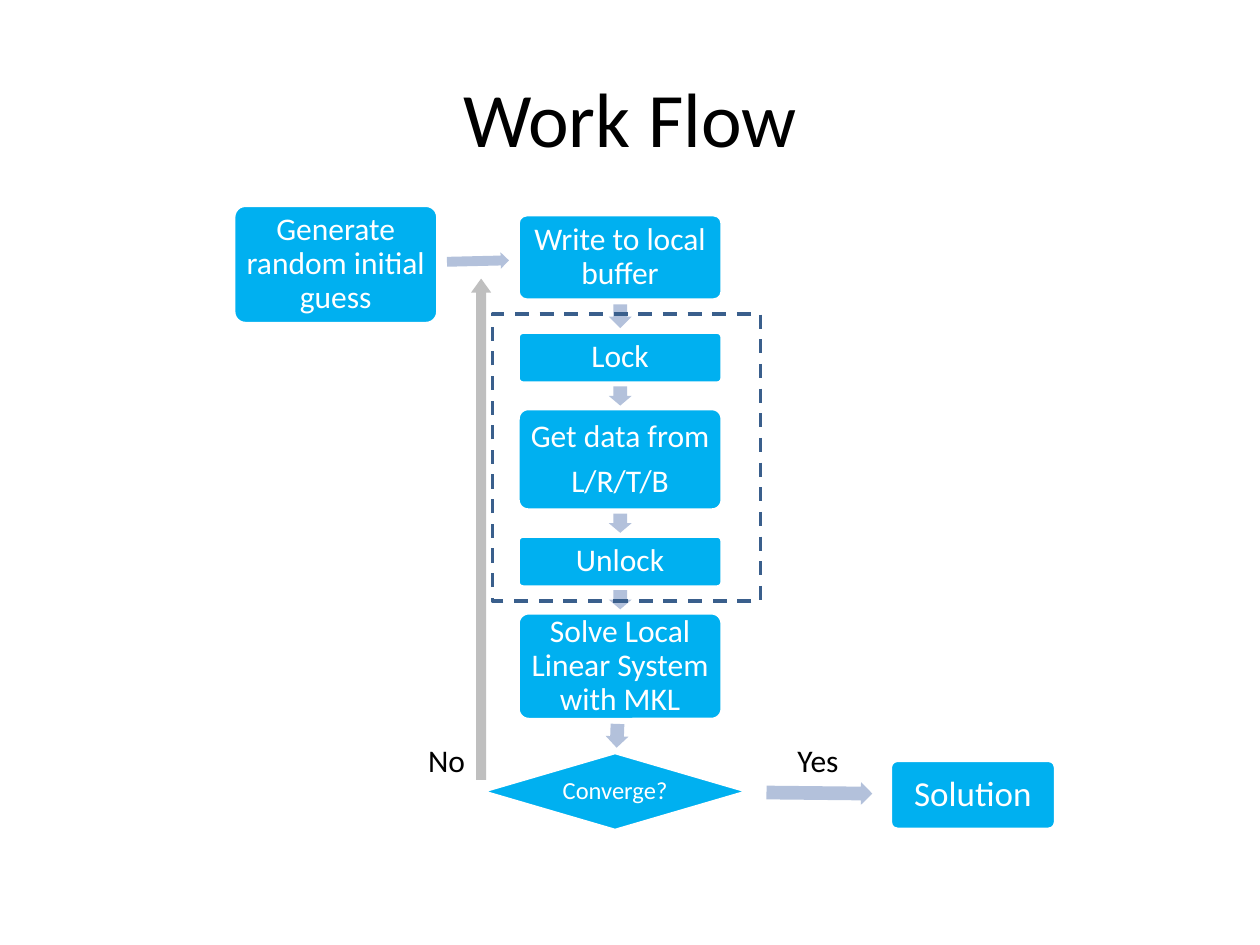
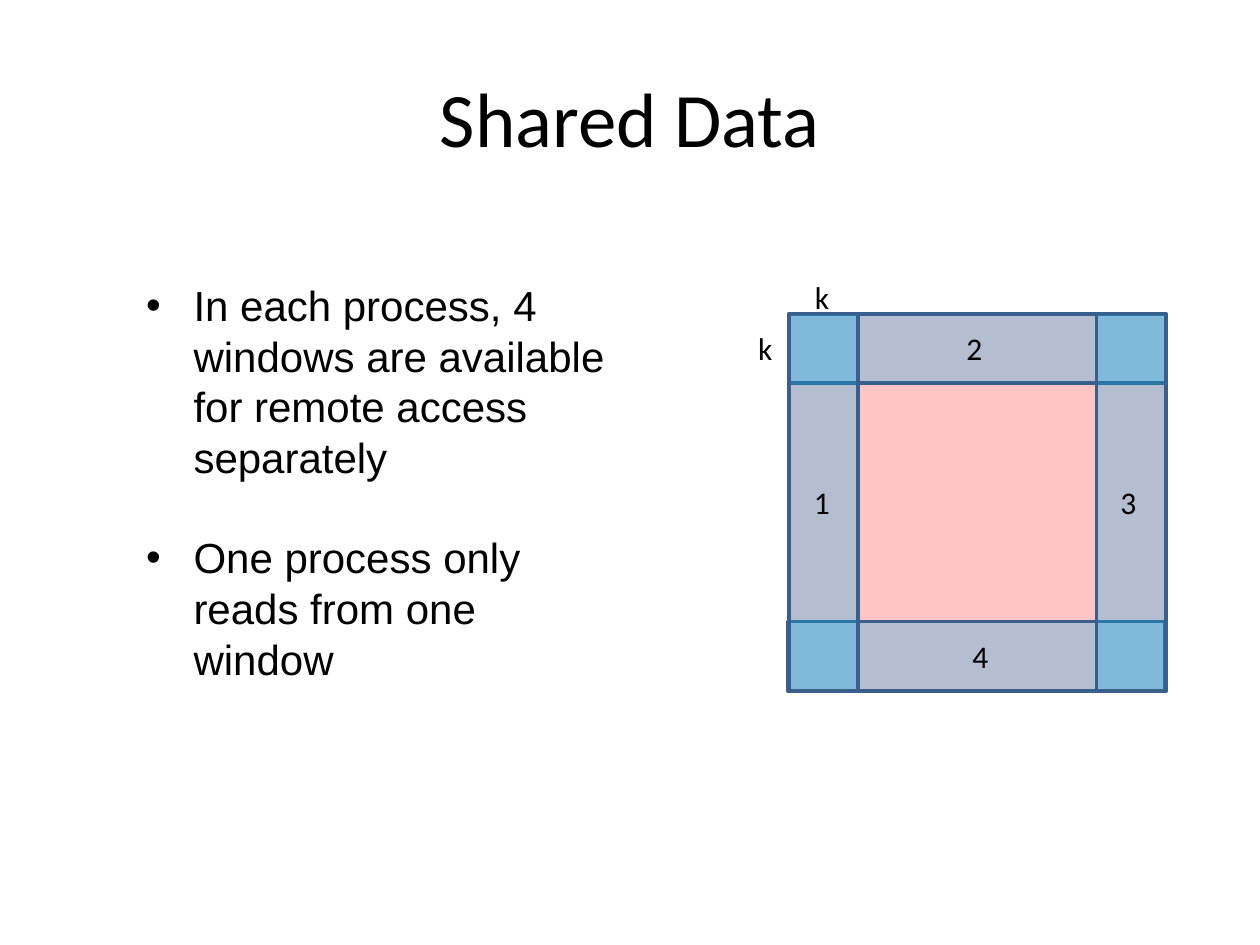
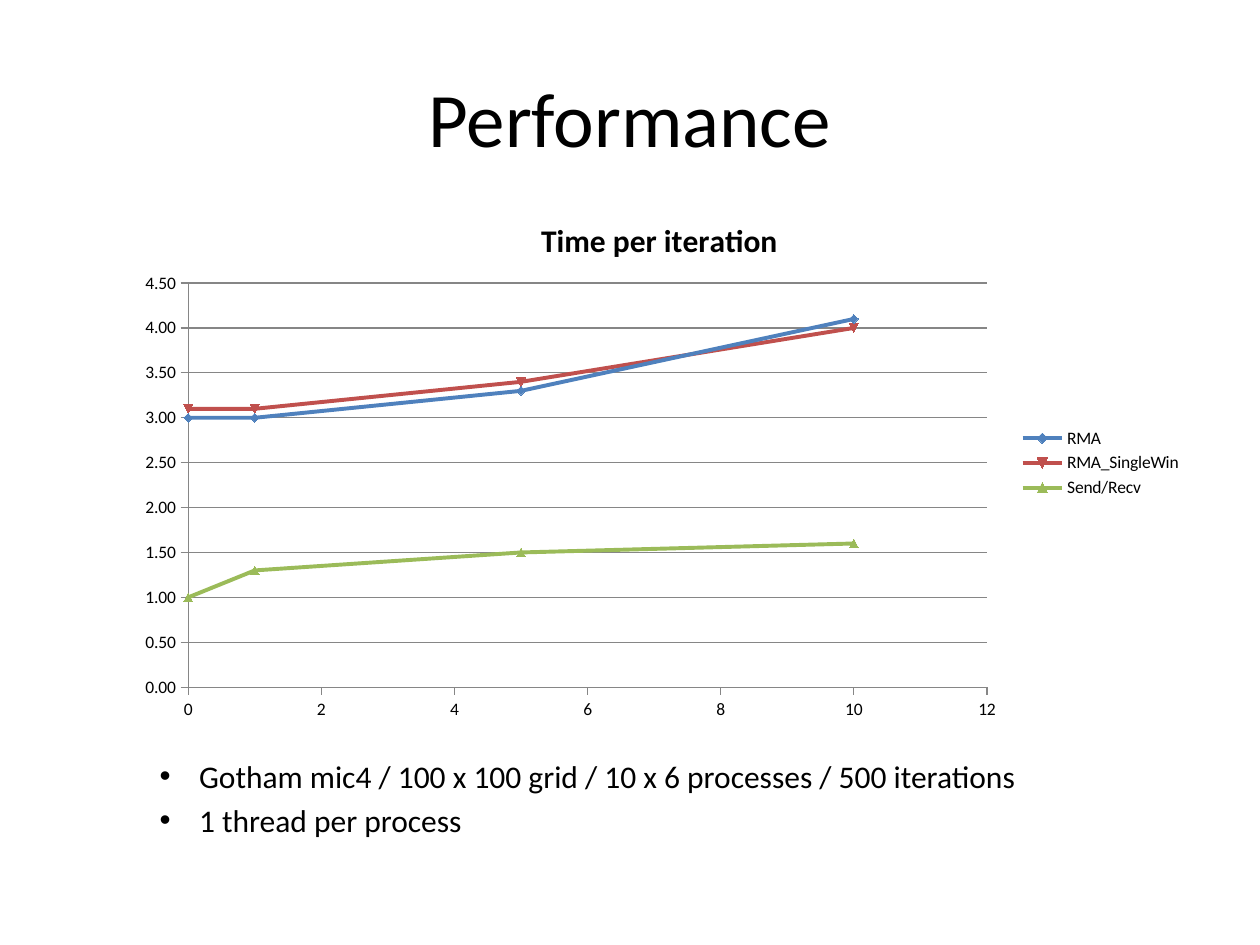
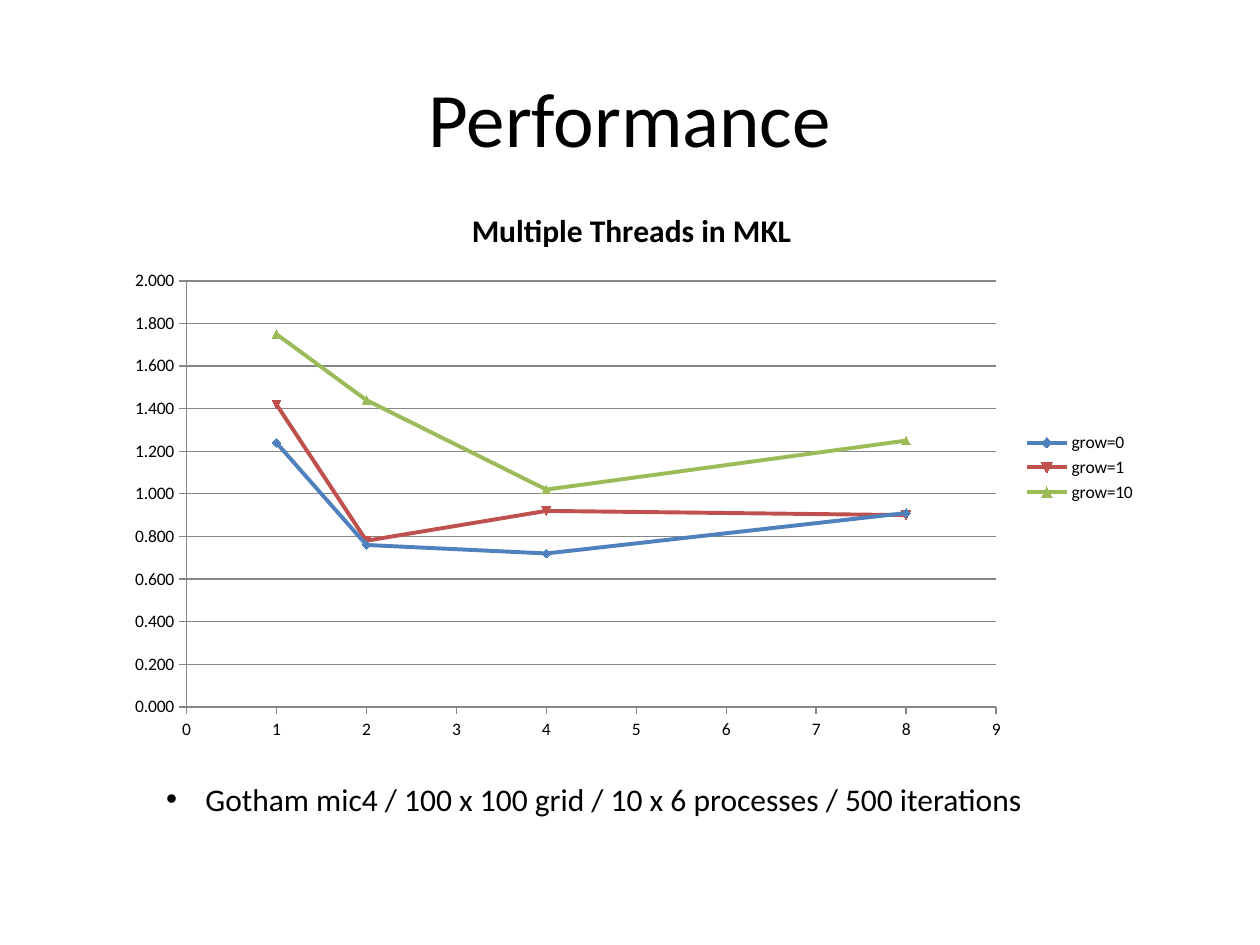
"""Build four slides on a parallel solver: work flow, shared data and two performance charts."""
import pptx
import pptx.chart.data
import pptx.dml.color
import pptx.enum.chart
import pptx.enum.dml
import pptx.enum.shapes
import pptx.enum.text
import pptx.oxml
import pptx.oxml.ns
import pptx.util

Pt = pptx.util.Pt
RGB = pptx.dml.color.RGBColor.from_string
MSO = pptx.enum.shapes.MSO_SHAPE
ALIGN = pptx.enum.text.PP_ALIGN
ANCHOR = pptx.enum.text.MSO_ANCHOR
XL = pptx.enum.chart
qn = pptx.oxml.ns.qn
NS = pptx.oxml.ns.nsdecls("a")

COLORS = {
    "text": "000000", "white": "FFFFFF", "box": "00B0F0", "arrow": "B3C1DB",
    "loop": "BFBFBF", "outline": "3A5F8C", "core": "FF0000", "grid": "868686",
    "blue": "4F81BD", "red": "C0504D", "green": "9BBB59",
}


def add_shape(s, kind, box, fill=None, line=None, rot=0, alpha=None):
    sp = s.shapes.add_shape(kind, *[Pt(v) for v in box])
    sp.shadow.inherit = False
    sp.rotation = rot
    if fill:
        sp.fill.solid()
        sp.fill.fore_color.rgb = RGB(COLORS[fill])
        if alpha:
            clr = sp._element.spPr.find(qn("a:solidFill"))[0]
            clr.append(pptx.oxml.parse_xml(f'<a:alpha {NS} val="{alpha * 1000}"/>'))
    else:
        sp.fill.background()
    if line:
        sp.line.color.rgb = RGB(COLORS[line])
        sp.line.width = Pt(2)
    else:
        sp.line.fill.background()
    return sp


def add_text(s, box, lines, size=18, font="Calibri", wrap=False, bullet=None):
    sp = s.shapes.add_textbox(*[Pt(v) for v in box])
    tf = sp.text_frame
    tf.text = "\n".join(lines)
    tf.word_wrap = wrap
    if not wrap:
        tf.auto_size = pptx.enum.text.MSO_AUTO_SIZE.SHAPE_TO_FIT_TEXT
    for p in tf.paragraphs:
        r = p.runs[0]
        r.font.size, r.font.name = Pt(size), font
        r.font.color.rgb = RGB(COLORS["text"])
        if bullet:
            margin, hang = bullet
            pPr = p._p.get_or_add_pPr()
            pPr.set("marL", str(Pt(margin)))
            pPr.set("indent", str(-Pt(hang)))
            pPr.append(pptx.oxml.parse_xml(f'<a:buFont {NS} typeface="Arial"/>'))
            pPr.append(pptx.oxml.parse_xml(f'<a:buChar {NS} char="\u2022"/>'))
    return sp


prs = pptx.Presentation()
prs.slide_width, prs.slide_height = Pt(720), Pt(540)
slides = []
for title in ["Work Flow", "Shared Data", "Performance", "Performance"]:
    s = prs.slides.add_slide(prs.slide_layouts[6])
    sp = add_text(s, (36, 21.6, 648, 90), [title], 44, wrap=True)
    sp.text_frame.vertical_anchor = ANCHOR.MIDDLE
    sp.text_frame.paragraphs[0].alignment = ALIGN.CENTER
    slides.append(s)
flow, shared, growth, threads = slides

steps = [
    (MSO.ROUNDED_RECTANGLE, (133.5, 117.3, 116.7, 67.6), "Generate random initial guess", 18),
    (MSO.ROUNDED_RECTANGLE, (296, 122.7, 116.7, 48.8), "Write to local buffer", 18),
    (MSO.ROUNDED_RECTANGLE, (296, 189.8, 116.7, 29.2), "Lock", 18),
    (MSO.ROUNDED_RECTANGLE, (296, 233.5, 116.7, 58), "Get data from\nL/R/T/B", 18),
    (MSO.ROUNDED_RECTANGLE, (296, 306.3, 116.7, 29.2), "Unlock", 18),
    (MSO.ROUNDED_RECTANGLE, (296, 350.2, 116.7, 61), "Solve Local Linear System with MKL", 18),
    (MSO.DIAMOND, (275.2, 430, 152.6, 44.6), "Converge?", 14),
    (MSO.ROUNDED_RECTANGLE, (508.8, 434.5, 94.4, 39.4), "Solution", 20),
]
for kind, box, text, size in steps:
    sp = add_shape(flow, kind, box, "box", "white")
    if kind == MSO.ROUNDED_RECTANGLE:
        sp.adjustments[0] = 0.1
    tf = sp.text_frame
    tf.text = text
    tf.word_wrap = True
    tf.vertical_anchor = ANCHOR.MIDDLE
    tf.margin_left = tf.margin_right = tf.margin_top = tf.margin_bottom = Pt(4.3)
    for p in tf.paragraphs:
        p.alignment = ALIGN.CENTER
        p.line_spacing = 0.9
        p.space_after = Pt(0.35 * size)
        r = p.runs[0]
        r.font.size, r.font.name = Pt(size), "Calibri"
        r.font.color.rgb = RGB(COLORS["white"])

arrows = [
    ((255.4, 144.5, 35.4, 9.4), 358.6),
    ((347.6, 174.2, 13.6, 13), 90),
    ((348.9, 219.8, 11, 13), 90),
    ((348.9, 292.5, 11, 13), 90),
    ((348.9, 336.2, 11, 13), 90),
    ((345.8, 414, 13.6, 13), 92.2),
    ((438, 446.7, 60.5, 13), 0.6),
]
for box, rot in arrows:
    sp = add_shape(flow, MSO.RIGHT_ARROW, box, "arrow", rot=rot)
    sp.adjustments[0] = 0.6

sp = add_shape(flow, MSO.RECTANGLE, (281.5, 179.3, 153.2, 164.2), line="outline")
sp.line.dash_style = pptx.enum.dml.MSO_LINE.DASH
add_text(flow, (448.6, 419.8, 38, 29), ["Yes"])
add_text(flow, (237.6, 419.8, 36, 29), ["No"])
sp = add_shape(flow, MSO.DOWN_ARROW, (269.2, 159.2, 11.5, 286.5), "loop", rot=180)
sp.adjustments[1] = 0.694

left, top, side, band = 450.7, 179.3, 215.5, 39.6
far = side - band
add_shape(shared, MSO.RECTANGLE, (left, top, side, side), "core", "outline", alpha=23)
for dx, dy, w, h in [(0, 0, side, band), (-0.5, far, side, band), (0, 0, band, side), (far, 0, band, side)]:
    add_shape(shared, MSO.RECTANGLE, (left + dx, top + dy, w, h), "box", "outline", alpha=29)
for text, x, y in [("1", 458, 272.2), ("2", 545.2, 184.3), ("3", 633.2, 272.2),
                   ("4", 548.6, 360.3), ("k", 458.6, 155.5), ("k", 426.2, 184.3)]:
    add_text(shared, (x, y, 25, 29), [text])
sp = add_text(shared, (76.5, 156.2, 283.7, 239.8),
              ["In each process, 4 windows are available for remote access separately",
               "One process only reads from one window"], 24, "Arial", True, (27, 27))
for p in sp.text_frame.paragraphs:
    p.line_spacing = Pt(28.9)
sp.text_frame.paragraphs[1].space_before = Pt(28.5)

setup = "Gotham mic4 / 100 x 100 grid / 10 x 6 processes / 500 iterations"
sp = add_text(growth, (48.2, 428.8, 544.3, 79.2), [setup, "1 thread per process"],
              wrap=True, bullet=(58.5, 22.5))
for p in sp.text_frame.paragraphs:
    p.space_before = Pt(3.6)
add_text(threads, (87.8, 442, 509.8, 29), [setup], bullet=(22.5, 22.5))

charts = [
    (growth, (70.8, 111.6, 612, 306), "Time per iteration", "0.00", (0, 1, 5, 10), (12, 2), (4.5, 0.5),
     {"RMA": (3, 3, 3.3, 4.1),
      "RMA_SingleWin": (3.1, 3.1, 3.4, 4),
      "Send/Recv": (1, 1.3, 1.5, 1.6)}),
    (threads, (65.4, 105.5, 591.1, 323.3), "Multiple Threads in MKL", "0.000", (1, 2, 4, 8), (9, 1), (2, 0.2),
     {"grow=0": (1.24, 0.76, 0.72, 0.91),
      "grow=1": (1.42, 0.78, 0.92, 0.9),
      "grow=10": (1.75, 1.44, 1.02, 1.25)}),
]
for s, box, title, fmt, xs, x_scale, y_scale, series in charts:
    data = pptx.chart.data.XyChartData()
    for name, values in series.items():
        ser = data.add_series(name)
        for x, y in zip(xs, values):
            ser.add_data_point(x, y)
    chart = s.shapes.add_chart(XL.XL_CHART_TYPE.XY_SCATTER_LINES, *[Pt(v) for v in box], data).chart
    chart.font.size, chart.font.name = Pt(10), "Calibri"
    chart.font.color.rgb = RGB(COLORS["text"])
    chart.has_title = True
    tf = chart.chart_title.text_frame
    tf.text = title
    font = tf.paragraphs[0].runs[0].font
    font.size, font.bold, font.name = Pt(18), True, "Calibri"
    chart.has_legend = True
    chart.legend.position = XL.XL_LEGEND_POSITION.RIGHT
    chart.legend.include_in_layout = False
    plot = chart.plots[0]
    plot.vary_by_categories = False
    for axis, (high, step) in [(chart.category_axis, x_scale), (chart.value_axis, y_scale)]:
        axis.minimum_scale, axis.maximum_scale, axis.major_unit = 0, high, step
        axis.major_tick_mark = XL.XL_TICK_MARK.OUTSIDE
        axis.minor_tick_mark = XL.XL_TICK_MARK.NONE
        axis.format.line.color.rgb = RGB(COLORS["grid"])
    chart.category_axis.has_major_gridlines = False
    chart.value_axis.has_major_gridlines = True
    chart.value_axis.major_gridlines.format.line.color.rgb = RGB(COLORS["grid"])
    chart.value_axis.tick_labels.number_format = fmt
    chart.value_axis.tick_labels.number_format_is_linked = False
    for ser, color in zip(plot.series, ["blue", "red", "green"]):
        ser.smooth = False
        ser.format.line.color.rgb = RGB(COLORS[color])
        ser.format.line.width = Pt(2.25)
        ser.marker.format.fill.solid()
        ser.marker.format.fill.fore_color.rgb = RGB(COLORS[color])
        ser.marker.format.line.color.rgb = RGB(COLORS[color])
    if s is growth:
        area = chart._chartSpace.chart.plotArea
        for old in area.findall(qn("c:layout")):
            area.remove(old)
        area.insert(0, pptx.oxml.parse_xml(
            f'<c:layout {pptx.oxml.ns.nsdecls("c")}><c:manualLayout><c:layoutTarget val="inner"/>'
            '<c:xMode val="edge"/><c:yMode val="edge"/><c:x val="0.06"/><c:y val="0.164"/>'
            '<c:w val="0.746"/><c:h val="0.755"/></c:manualLayout></c:layout>'))

prs.save("out.pptx")
